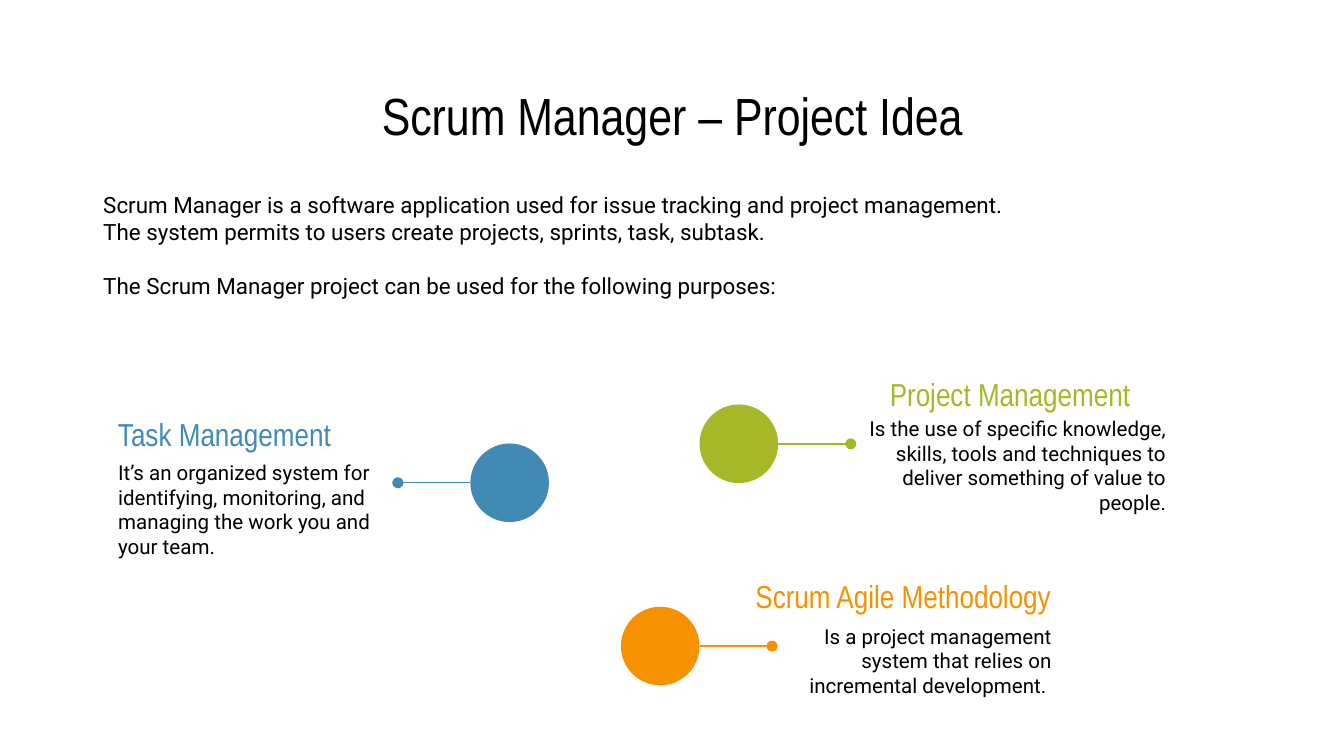
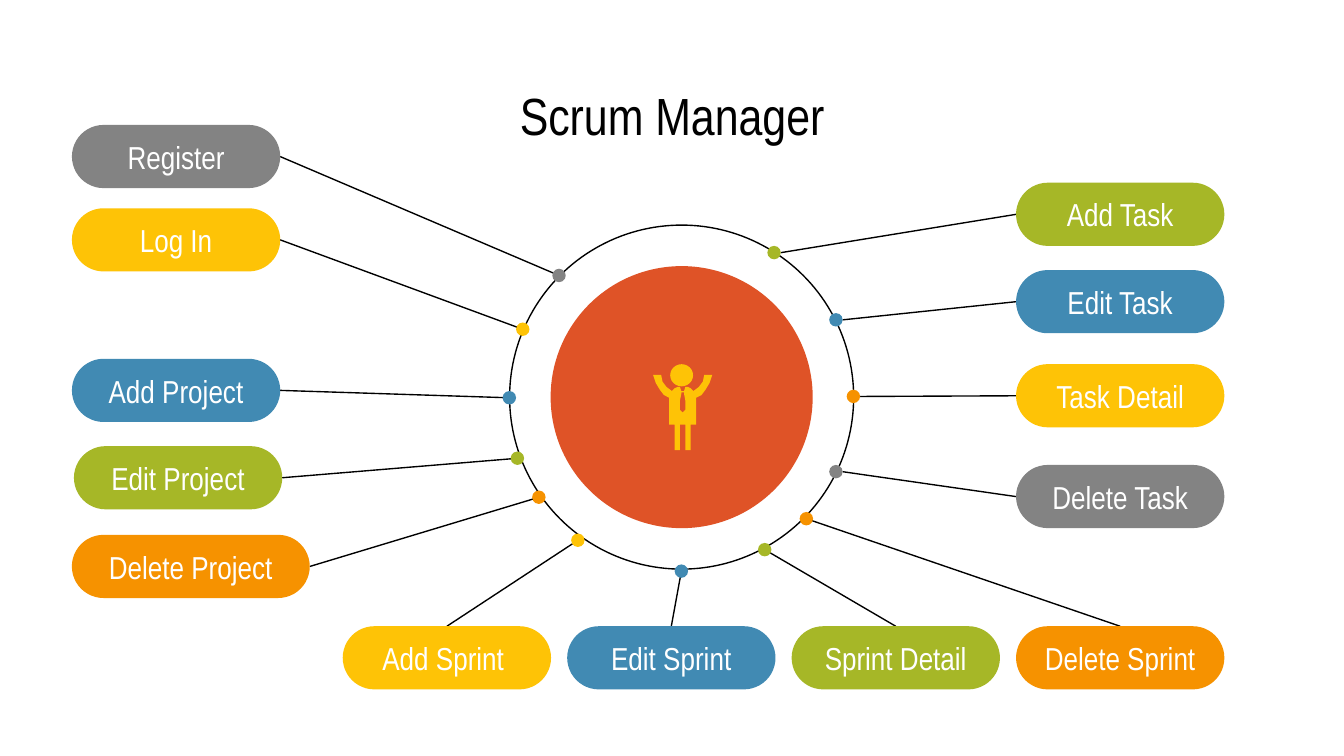
from lxml import etree
from pptx import Presentation, util as u
from pptx.dml.color import RGBColor
from pptx.enum import shapes, text
from pptx.oxml.ns import qn

# Shared look: a grid of 100 columns by 56.25 rows, lengths are in grid cells
C = {"blue": "418AB3", "green": "A6B727", "orange": "F69200", "yellow": "FEC306",
     "gray": "838383", "red": "DF5327", "black": "000000", "white": "FFFFFF"}
HEAD, BODY = "Arial Narrow", "Roboto"
CELL = u.Inches(0.1)
OVAL, PILL = shapes.MSO_SHAPE.OVAL, shapes.MSO_SHAPE.ROUNDED_RECTANGLE
LEFT, CENTER, RIGHT = text.PP_ALIGN.LEFT, text.PP_ALIGN.CENTER, text.PP_ALIGN.RIGHT
TOP, MIDDLE = text.MSO_ANCHOR.TOP, text.MSO_ANCHOR.MIDDLE

prs = Presentation()
prs.slide_width, prs.slide_height = 100 * CELL, round(56.25 * CELL)


def put(s, words, x, y, w, h, kind=None, fill=None, line=None, size=17, font=HEAD,
        color="black", align=CENTER, anchor=MIDDLE, gaps=()):
    """Add a text box, or a preset shape if kind is given; gaps are points before each paragraph."""
    at = [round(v * CELL) for v in (x, y, w, h)]
    if kind is None:
        sp = s.shapes.add_textbox(*at)
    else:
        sp = s.shapes.add_shape(kind, *at)
        sp.shadow.inherit = False
        if kind == PILL:
            sp.adjustments[0] = 0.5
        if fill:
            sp.fill.solid()
            sp.fill.fore_color.rgb = RGBColor.from_string(C[fill])
        else:
            sp.fill.background()
        if line:
            sp.line.color.rgb = RGBColor.from_string(C[line])
            sp.line.width = u.Pt(0.75)
        else:
            sp.line.fill.background()
    if words:
        tf = sp.text_frame
        tf.word_wrap, tf.vertical_anchor = True, anchor
        tf.margin_left = tf.margin_right = tf.margin_top = tf.margin_bottom = CELL
        for i, part in enumerate(words.split("\n")):
            p = tf.paragraphs[0] if i == 0 else tf.add_paragraph()
            p.alignment = align
            if gaps:
                p.space_before = u.Pt(gaps[i])
            r = p.add_run()
            r.text = part
            r.font.size, r.font.name = u.Pt(size), font
            r.font.color.rgb = RGBColor.from_string(C[color])


def join(s, x1, y1, x2, y2, color="black", tip=None):
    ends = [round(v * CELL) for v in (x1, y1, x2, y2)]
    ln = s.shapes.add_connector(shapes.MSO_CONNECTOR.STRAIGHT, *ends)
    ln.line.color.rgb = RGBColor.from_string(C[color])
    ln.line.width = u.Pt(0.75)
    if tip:
        etree.SubElement(ln.line._get_or_add_ln(), qn("a:tailEnd"), type=tip)
    etree.SubElement(ln._element.spPr, qn("a:effectLst"))


# Both slides with their titles
slides = []
for title in ("Scrum Manager – Project Idea", "Scrum Manager"):
    s = prs.slides.add_slide(prs.slide_layouts[6])
    put(s, title, 7.75, 5.9, 84.5, 5.3, size=28)
    slides.append(s)
idea, features = slides

# Slide 1: introduction
put(idea, "Scrum Manager is a software application used for issue tracking and project management.\n"
    "The system permits to users create projects, sprints, task, subtask.\n"
    "The Scrum Manager project can be used for the following purposes:",
    6.7, 13.22, 73.6, 8.4, size=12, font=BODY, align=LEFT, anchor=TOP, gaps=(0, 0, 14.5))

# Slide 1: purposes as name, colour, circle, side of the text, name box, text box, text
DISC, ARM = 5.85, 5.4
purposes = [
    ("Task Management", "blue", (35, 33), -1, (7.8, 30.3, 28.4), (7.8, 33.22, 21.9),
     "It’s an organized system for identifying, monitoring, and managing the work you and your team."),
    ("Scrum Agile Methodology", "orange", (46.2, 45.15), 1, (53.5, 42.4, 25.7), (58.65, 45.4, 20.6),
     "Is a project management system that relies on incremental development. "),
    ("Project Management", "green", (52.05, 30.1), 1, (64.5, 27.33, 20.6), (63.25, 29.95, 24.5),
     "Is the use of specific knowledge, skills, tools and techniques to deliver something "
     "of value to people."),
]
for name, color, (x, y), side, name_box, text_box, words in purposes:
    align = RIGHT if side > 0 else LEFT
    edge = x + DISC if side > 0 else x
    put(idea, "", x, y, DISC, DISC, kind=OVAL, fill=color)
    join(idea, edge, y + DISC / 2, edge + side * ARM, y + DISC / 2, color, tip="oval")
    put(idea, words, *text_box, 8.4, size=11, font=BODY, align=align, anchor=TOP)
    put(idea, name, *name_box, 3.9, color=color, align=align)

# Slide 2: ring and hub
MID_X, MID_Y = 50.72, 29.55
for size, fill, line in ((25.6, None, "black"), (19.5, "red", None)):
    put(features, "", MID_X - size / 2, MID_Y - size / 2, size, size, kind=OVAL, fill=fill, line=line)

# Slide 2: person, drawn from its right half in hundredths of an inch
PERSON_X = 508
body = [(1, 291), (1.5, 288), (3.5, 288), (6, 289), (8.5, 291), (12, 288.5), (15, 284.5),
        (16.5, 279), (21.5, 279), (20, 285), (17, 290.5), (13.5, 294), (9.5, 296), (9.5, 316),
        (6.5, 316), (6.5, 335), (1.5, 335), (1.5, 316)]
tie = [(1, 292), (1, 293), (2, 298), (2, 305), (0, 307)]
outlines = []
for half in (body, tie):
    whole = half + [(-x, y) for x, y in reversed(half)]
    outlines.append([(PERSON_X + x, y) for x, y in whole])
outlines[1].reverse()
pen = features.shapes.build_freeform(*outlines[0][0], scale=CELL / 10)
pen.add_line_segments(outlines[0][1:], close=True)
pen.move_to(*outlines[1][0])
pen.add_line_segments(outlines[1][1:], close=True)
sp = pen.convert_to_shape()
sp.shadow.inherit = False
sp.fill.solid()
sp.fill.fore_color.rgb = RGBColor.from_string(C["yellow"])
sp.line.fill.background()
put(features, "", MID_X - 0.85, 27.1, 1.7, 1.65, kind=OVAL, fill="yellow")

# Slide 2: features as name, colour, left, top, width, centre of the dot on the ring
PILL_W, PILL_H, DOT = 15.5, 4.7, 1
LEFT_X, RIGHT_X, LAST_Y, STEP = 5.35, 75.6, 46.6, 16.7
sides = {
    "left": [
        ("Register", "gray", LEFT_X, 9.3, PILL_W, 41.6, 20.5),
        ("Log In", "yellow", LEFT_X, 15.5, PILL_W, 38.9, 24.5),
        ("Add Project", "blue", LEFT_X, 26.7, PILL_W, 37.9, 29.6),
        ("Edit Project", "green", 5.5, 33.2, PILL_W, 38.5, 34.1),
        ("Delete Project", "orange", LEFT_X, 39.8, 17.7, 40.1, 37),
    ],
    "right": [
        ("Add Task", "green", RIGHT_X, 13.6, PILL_W, 57.6, 18.8),
        ("Edit Task", "blue", RIGHT_X, 20.1, PILL_W, 62.2, 23.8),
        ("Task Detail", "yellow", RIGHT_X, 27.1, PILL_W, 63.5, 29.5),
        ("Delete Task", "gray", RIGHT_X, 34.6, PILL_W, 62.2, 35.1),
    ],
    "bottom": [
        ("Add Sprint ", "yellow", RIGHT_X - 3 * STEP, LAST_Y, PILL_W, 43, 40.2),
        ("Edit Sprint", "blue", RIGHT_X - 2 * STEP, LAST_Y, PILL_W, 50.7, 42.5),
        ("Sprint Detail", "green", RIGHT_X - STEP, LAST_Y, PILL_W, 56.9, 40.9),
        ("Delete Sprint", "orange", RIGHT_X, LAST_Y, PILL_W, 60, 38.6),
    ],
}
for side, pills in sides.items():
    for name, color, x, y, w, dot_x, dot_y in pills:
        start = {"left": (x + w, y + PILL_H / 2), "right": (x, y + PILL_H / 2),
                 "bottom": (x + w / 2, y)}[side]
        end_x = dot_x + DOT / 2 if side == "right" else dot_x
        join(features, *start, end_x, dot_y)
        put(features, name, x, y, w, PILL_H, kind=PILL, fill=color, color="white")
        put(features, "", dot_x - DOT / 2, dot_y - DOT / 2, DOT, DOT, kind=OVAL,
            fill="orange" if name == "Task Detail" else color)

prs.save("out.pptx")
